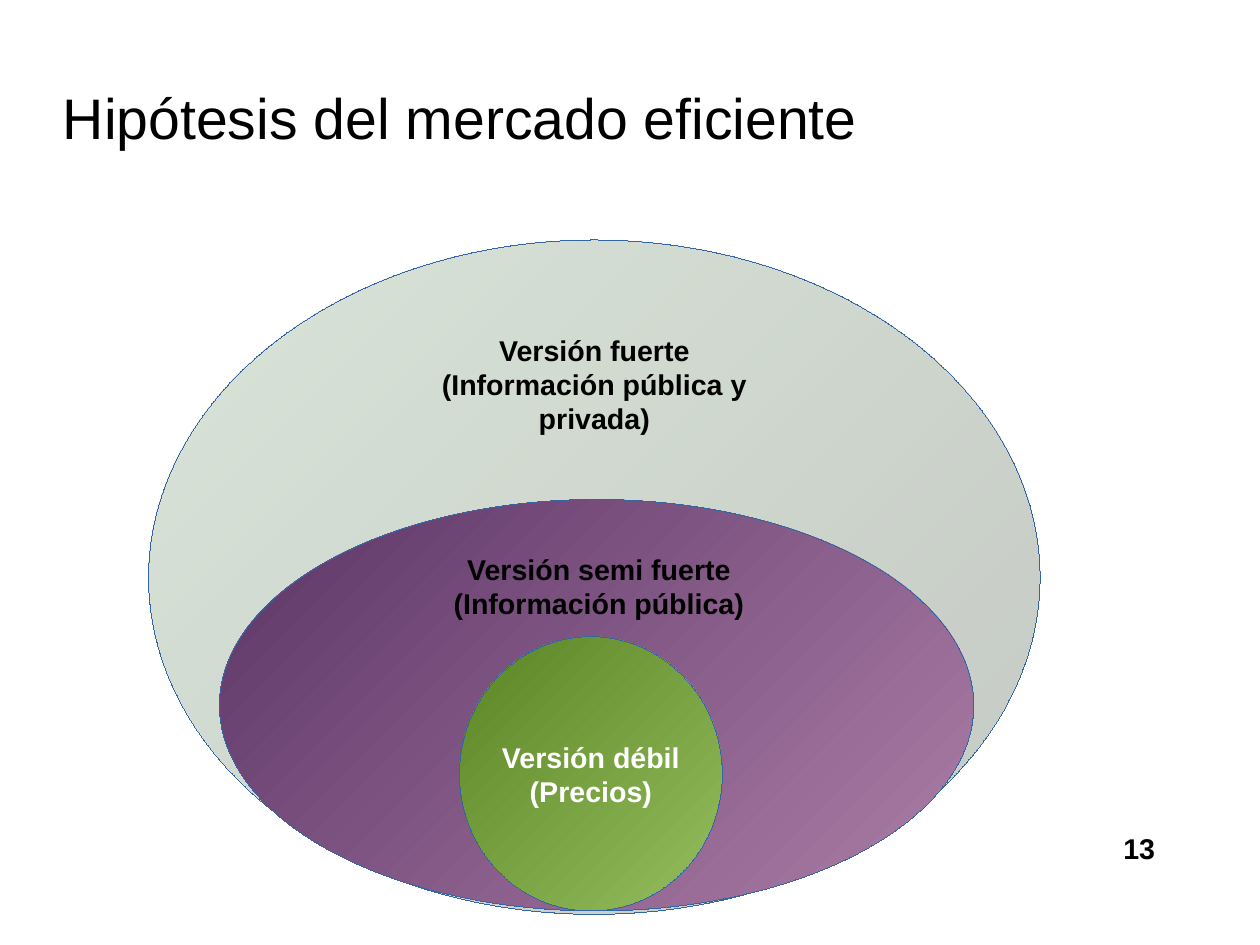
from dataclasses import dataclass

from lxml import etree
from pptx import Presentation
from pptx import util as u
from pptx.dml.color import RGBColor
from pptx.enum import shapes, text
from pptx.oxml import ns


@dataclass(frozen=True)
class Theme:
    font: str = "Arial"
    title_size: int = 36
    label_size: int = 18
    dark: str = "000000"
    light: str = "FFFFFF"
    outline: str = "3465A4"
    strong: tuple = ("83A67F", "3F4F3D")
    semi_strong: tuple = ("5C3566", "AD7FA8")
    weak: tuple = ("5C8526", "94BD5E")


THEME = Theme()
CM_PER_INCH = 2.54


def apply_format(target, values):
    for name, value in values.items():
        setattr(target, name, value)


def inches(box):
    return [u.Inches(length) for length in box]


def write_lines(frame, lines, size, color, align, bold=True, **frame_format):
    apply_format(frame, frame_format)
    for index, line in enumerate(lines):
        paragraph = frame.paragraphs[0] if index == 0 else frame.add_paragraph()
        paragraph.alignment = align
        run = paragraph.add_run()
        run.text = line
        apply_format(run.font, {"name": THEME.font, "size": u.Pt(size), "bold": bold})
        run.font.color.rgb = RGBColor.from_string(color)


def add_title(slide, box, title):
    shape = slide.shapes.title
    apply_format(shape, dict(zip(("left", "top", "width", "height"), inches(box))))
    write_lines(
        shape.text_frame, [title], THEME.title_size, THEME.dark,
        text.PP_ALIGN.LEFT, bold=False,
        margin_left=0, margin_top=0, margin_right=0, margin_bottom=0,
        word_wrap=True, vertical_anchor=text.MSO_ANCHOR.MIDDLE,
    )


def fill_from_corner(shape, colors, opacity):
    shape.fill.gradient()
    for stop, color in zip(shape.fill.gradient_stops, colors):
        stop.color.rgb = RGBColor.from_string(color)
    gradient = shape._element.spPr.find(ns.qn("a:gradFill"))
    if opacity < 100:
        for color in gradient.iter(ns.qn("a:srgbClr")):
            etree.SubElement(color, ns.qn("a:alpha"), val=str(opacity * 1000))
    radial = etree.Element(ns.qn("a:path"), path="circle")
    etree.SubElement(radial, ns.qn("a:fillToRect"), l="0", t="0", r="100000", b="100000")
    gradient.replace(gradient.find(ns.qn("a:lin")), radial)


def add_ellipse(slide, box, colors, opacity=100):
    ellipse = slide.shapes.add_shape(shapes.MSO_SHAPE.OVAL, *inches(box))
    ellipse.shadow.inherit = False
    fill_from_corner(ellipse, colors, opacity)
    ellipse.line.color.rgb = RGBColor.from_string(THEME.outline)
    ellipse._element.spPr.find(ns.qn("a:ln")).set("w", "0")
    return ellipse


def add_label(slide, box, lines, align=text.PP_ALIGN.CENTER):
    label = slide.shapes.add_textbox(*inches(box))
    write_lines(label.text_frame, lines, THEME.label_size, THEME.dark, align, word_wrap=True)


def add_nested_versions(slide, box):
    left, top, width, height = box
    add_ellipse(slide, box, THEME.strong, opacity=30)
    add_ellipse(slide, (left + 0.62, top + 2.27, 6.6, 3.6), THEME.semi_strong)
    weak = add_ellipse(slide, (left + 2.72, top + 3.47, 2.3, 2.4), THEME.weak)
    write_lines(
        weak.text_frame, ["Versión débil", "(Precios)"], THEME.label_size,
        THEME.light, text.PP_ALIGN.CENTER,
        word_wrap=False, vertical_anchor=text.MSO_ANCHOR.MIDDLE,
    )
    add_label(slide, (left + 1.99, top + 2.68, 3.9, 0.94),
              ["Versión semi fuerte", "(Información pública)"])
    add_label(slide, (left + 2.3, top + 0.76, 3.2, 0.94),
              ["Versión fuerte", "(Información pública y privada)"])


def main():
    presentation = Presentation()
    presentation.slide_width = u.Inches(28 / CM_PER_INCH)
    presentation.slide_height = u.Inches(21 / CM_PER_INCH)
    slide = presentation.slides.add_slide(presentation.slide_layouts.get_by_name("Title Only"))
    add_title(slide, (0.55, 0.63, 7.87, 0.79), "Hipótesis del mercado eficiente")
    add_nested_versions(slide, (1.3, 2.1, 7.8, 5.9))
    add_label(slide, (9.73, 7.22, 0.6, 0.47), ["13"], text.PP_ALIGN.LEFT)
    presentation.save("out.pptx")


if __name__ == "__main__":
    main()
